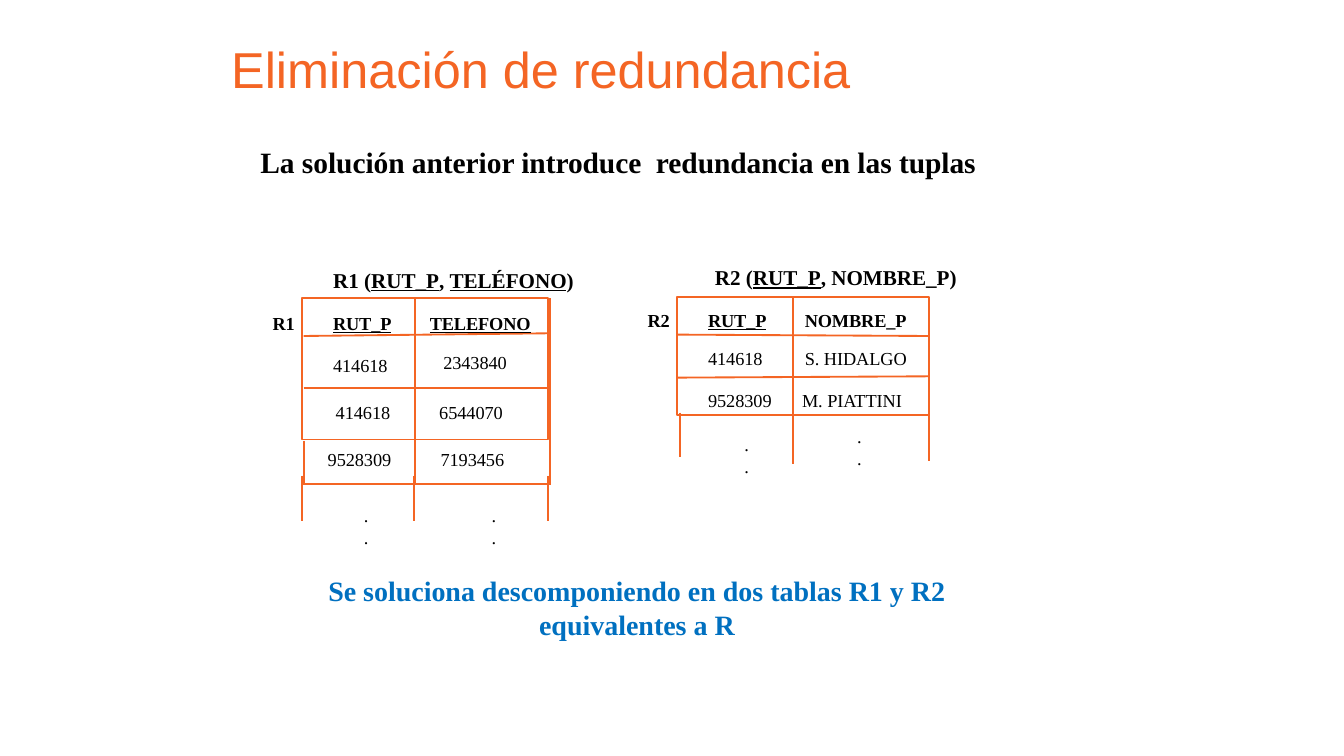
from dataclasses import dataclass

import pptx
import pptx.dml.color
import pptx.enum.shapes
import pptx.enum.text
import pptx.oxml.ns
import pptx.util
from lxml import etree

ORANGE = pptx.dml.color.RGBColor(0xF4, 0x65, 0x24)
BLUE = pptx.dml.color.RGBColor(0x00, 0x70, 0xC0)
BLACK = pptx.dml.color.RGBColor(0x00, 0x00, 0x00)
SERIF = "Times New Roman"
CELL_SIZE = 9.75
CELL_HEIGHT = 2.3
DOTS_WIDTH, DOTS_HEIGHT = 1.7, 3.9
CAPTION_WIDTH, CAPTION_HEIGHT, CAPTION_INDENT = 33.4, 4.4, 7.3

Anchor = pptx.enum.text.MSO_ANCHOR
Box = tuple[float, float, float, float]


@dataclass
class Label:
    text: str
    left: float
    top: float
    width: float
    bold: bool = False
    underline: bool = False


@dataclass
class Relation:
    """A table sketch; lengths are in grid units, lines are (x1, y1, x2, y2)."""
    caption: list[tuple[str, bool]]
    caption_at: tuple[float, float]
    frame: Box
    lines: list[Box]
    labels: list[Label]
    dots: list[tuple[float, float]]


R1 = Relation(
    caption=[("R1 (", False), ("RUT_P", True), (", ", False),
             ("TELÉFONO", True), (")", False)],
    caption_at=(17.5, 17.7),
    frame=(22.5, 22.2, 18.3, 10.5),
    lines=[(22.6, 25, 40.8, 24.8), (22.6, 28.9, 40.8, 28.9),
           (22.5, 36, 40.8, 36), (30.9, 22.2, 30.9, 36.1),
           (40.9, 22.2, 40.9, 36.1), (22.6, 32.8, 22.6, 36.1),
           *[(x, 35.4, x, 38.8) for x in (22.5, 30.8, 40.8)]],
    labels=[Label("R1", 19.6, 22.9, 3, True),
            Label("RUT_P", 24.1, 22.9, 5.8, True, True),
            Label("TELEFONO", 31.3, 22.9, 9, True, True),
            Label("414618", 24.1, 26, 5.5), Label("2343840", 32.3, 25.8, 6.2),
            Label("414618", 24.3, 29.5, 5.5), Label("6544070", 32, 29.5, 6.2),
            Label("9528309", 23.7, 33, 6.2), Label("7193456", 32.1, 33, 6.2)],
    dots=[(26.4, 37.2), (35.9, 37.2)],
)

R2 = Relation(
    caption=[("R2 (", False), ("RUT_P", True), (", NOMBRE_P)", False)],
    caption_at=(45.9, 17.5),
    frame=(50.4, 22.1, 18.7, 8.8),
    lines=[(50.4, 24.9, 69.1, 25), (50.3, 28.1, 69.1, 28),
           (59, 22.1, 59, 34.5), (50.6, 30.7, 50.6, 34),
           (69.1, 30.9, 69.1, 34.3)],
    labels=[Label("R2", 47.5, 22.7, 3, True),
            Label("RUT_P", 52, 22.7, 5.8, True, True),
            Label("NOMBRE_P", 59.2, 22.7, 9, True),
            Label("414618", 52, 25.5, 5.5), Label("S. HIDALGO", 59.2, 25.5, 9),
            Label("9528309", 52, 28.6, 6.2), Label("M. PIATTINI", 59, 28.6, 9)],
    dots=[(54.7, 31.9), (63.1, 31.3)],
)

prs = pptx.Presentation()
prs.slide_width = pptx.util.Inches(10)
prs.slide_height = pptx.util.Emu(prs.slide_width * 9 // 16)
UNIT = prs.slide_width / 100  # the grid has 100 columns and square cells


def grid(*values: float) -> list[pptx.util.Emu]:
    return [pptx.util.Emu(round(v * UNIT)) for v in values]


def style(r, size: float, color=BLACK, bold=False, underline=False, name=SERIF) -> None:
    r.font.name = name
    r.font.size = pptx.util.Pt(size)
    r.font.bold = bold
    r.font.underline = underline
    r.font.color.rgb = color


def add_box(s, box: Box, wrap=True, indent=0.68, anchor=Anchor.TOP):
    """Add an empty text box and return its text frame."""
    tf = s.shapes.add_textbox(*grid(*box)).text_frame
    right = 0.68 if wrap else 0.4  # slack keeps a short label on one line
    tf.margin_left, tf.margin_right, tf.margin_top, tf.margin_bottom = grid(
        indent, right, 0.34, 0.34)
    tf.word_wrap = wrap
    tf.vertical_anchor = anchor
    if not wrap:
        tf.auto_size = pptx.enum.text.MSO_AUTO_SIZE.SHAPE_TO_FIT_TEXT
    return tf


def add_text(s, text: str, box: Box, size: float, color=BLACK, bold=False,
             underline=False, wrap=True):
    tf = add_box(s, box, wrap)
    tf.text = text
    for p in tf.paragraphs:
        style(p.runs[0], size, color, bold, underline)
    return tf


def add_line(s, ends: Box) -> None:
    line = s.shapes.add_connector(
        pptx.enum.shapes.MSO_CONNECTOR.STRAIGHT, *grid(*ends))
    line.line.color.rgb = ORANGE
    line.line.width = pptx.util.Pt(1)
    etree.SubElement(line._element.spPr, pptx.oxml.ns.qn("a:effectLst"))


def add_relation(s, relation: Relation) -> None:
    tf = add_box(s, (*relation.caption_at, CAPTION_WIDTH, CAPTION_HEIGHT),
                 indent=CAPTION_INDENT, anchor=Anchor.BOTTOM)
    for text, underline in relation.caption:
        r = tf.paragraphs[0].add_run()
        r.text = text
        style(r, 11.25, bold=True, underline=underline)

    sp = s.shapes.add_shape(
        pptx.enum.shapes.MSO_SHAPE.RECTANGLE, *grid(*relation.frame))
    sp.shadow.inherit = False
    sp.fill.background()
    sp.line.color.rgb = ORANGE
    sp.line.width = pptx.util.Pt(1)

    for ends in relation.lines:
        add_line(s, ends)
    for label in relation.labels:
        add_text(s, label.text, (label.left, label.top, label.width, CELL_HEIGHT),
                 CELL_SIZE, bold=label.bold, underline=label.underline, wrap=False)
    for left, top in relation.dots:
        add_text(s, ".\n.", (left, top, DOTS_WIDTH, DOTS_HEIGHT), CELL_SIZE, wrap=False)


def main() -> None:
    s = prs.slides.add_slide(prs.slide_layouts[5])
    title = s.shapes.title
    title.left, title.top, title.width, title.height = grid(16.2, 0.4, 67.5, 9.4)
    tf = title.text_frame
    tf.text = "Eliminación de redundancia"
    tf.vertical_anchor = Anchor.MIDDLE
    tf.paragraphs[0].alignment = pptx.enum.text.PP_ALIGN.LEFT
    style(tf.paragraphs[0].runs[0], 27, ORANGE, name="Arial")

    add_text(s, "La solución anterior introduce  redundancia en las tuplas",
             (18.7, 10.4, 62.6, 3.3), 15.75, bold=True)
    for relation in (R1, R2):
        add_relation(s, relation)
    tf = add_text(s, "Se soluciona descomponiendo en dos tablas R1 y R2 equivalentes a R",
                  (20.5, 42.3, 53.8, 5.9), 15, BLUE, bold=True)
    tf.margin_top = grid(0.4)[0]
    tf.paragraphs[0].alignment = pptx.enum.text.PP_ALIGN.CENTER
    prs.save("out.pptx")


if __name__ == "__main__":
    main()
